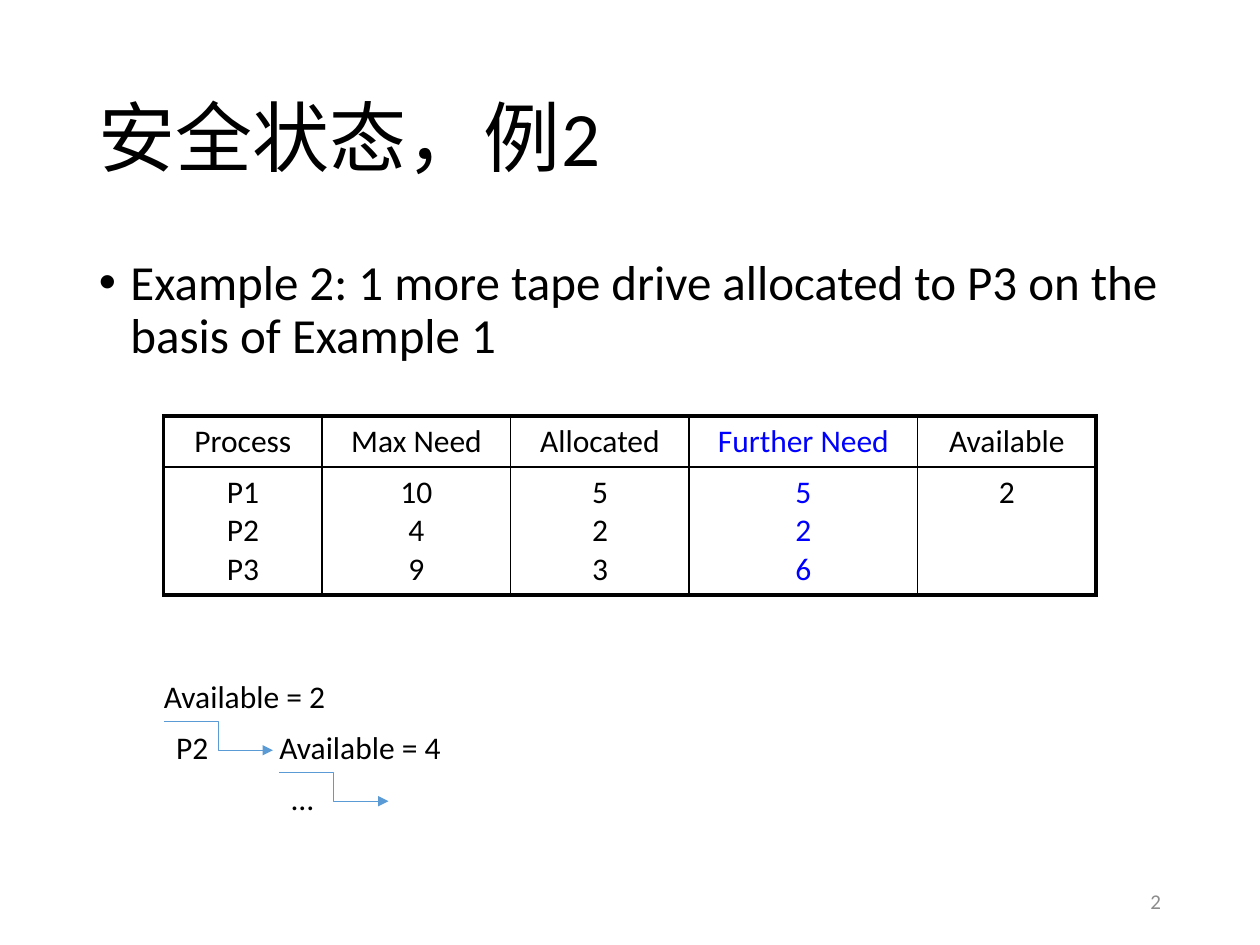
from lxml.etree import SubElement
from pptx import Presentation
from pptx.dml.color import RGBColor
from pptx.enum.shapes import MSO_CONNECTOR as Connector
from pptx.enum.text import MSO_ANCHOR as Anchor, PP_ALIGN as Align
from pptx.oxml.ns import qn
from pptx.util import Pt

BLACK, BLUE, GREY, ARROW_BLUE = "000000", "0000FF", "8C8C8C", "5B9BD5"
THIN, THICK = 1, 2.25


def rgb(hex_code):
    return RGBColor.from_string(hex_code)


class SlideBuilder:
    font_name = "Calibri"
    text_size = 18

    def __init__(self, page):
        self.page = page

    def style(self, para, size=text_size, color=BLACK, align=Align.LEFT):
        para.alignment = align
        para.font.name = self.font_name
        para.font.size = Pt(size)
        para.font.color.rgb = rgb(color)

    def text(self, words, left, top, width, height, anchor=Anchor.TOP,
             side_inset=7.2, line_spacing=None, **style):
        box = self.page.shapes.add_textbox(Pt(left), Pt(top), Pt(width), Pt(height))
        frame = box.text_frame
        frame.word_wrap = True
        frame.vertical_anchor = anchor
        frame.margin_left = frame.margin_right = Pt(side_inset)
        para = frame.paragraphs[0]
        para.text = words
        para.line_spacing = line_spacing
        self.style(para, **style)
        return para

    def bullet(self, words, *place, indent=18, **style):
        para = self.text(words, *place, **style)
        para.space_before = Pt(10)
        props = para._p.get_or_add_pPr()
        props.set("marL", str(Pt(indent)))
        props.set("indent", str(-Pt(indent)))
        SubElement(props, qn("a:buFont"), typeface="Arial")
        SubElement(props, qn("a:buChar"), char="•")

    def border(self, cell, side, width):
        line = SubElement(cell._tc.get_or_add_tcPr(), qn(f"a:ln{side}"), w=str(Pt(width)))
        fill = SubElement(line, qn("a:solidFill"))
        SubElement(fill, qn("a:srgbClr"), val=BLACK)

    def table(self, rows, left, top, widths, heights, blue_column):
        """Draw a ruled table with a thick outer frame; each cell is a list of lines."""
        grid = self.page.shapes.add_table(len(rows), len(widths), Pt(left), Pt(top),
                                          Pt(sum(widths)), Pt(sum(heights))).table
        grid.first_row = grid.horz_banding = False
        for column, width in zip(grid.columns, widths):
            column.width = Pt(width)
        for row, height in zip(grid.rows, heights):
            row.height = Pt(height)
        for r, row in enumerate(rows):
            for c, lines in enumerate(row):
                cell = grid.cell(r, c)
                on_frame = {"L": c == 0, "R": c == len(widths) - 1,
                            "T": r == 0, "B": r == len(rows) - 1}
                for side, outer in on_frame.items():
                    self.border(cell, side, THICK if outer else THIN)
                cell.fill.background()
                cell.text = "\n".join(lines)
                for para in cell.text_frame.paragraphs:
                    self.style(para, color=BLUE if c == blue_column else BLACK,
                               align=Align.CENTER)

    def elbow_arrow(self, left, top, width, height):
        arrow = self.page.shapes.add_connector(Connector.ELBOW, Pt(left), Pt(top),
                                               Pt(left + width), Pt(top + height))
        arrow.line.color.rgb = rgb(ARROW_BLUE)
        arrow.line.width = Pt(0.5)
        SubElement(arrow.line._get_or_add_ln(), qn("a:tailEnd"), type="triangle")
        SubElement(arrow._element.spPr, qn("a:effectLst"))

    def allocation_step(self, available, process, left, top, drop):
        """Show the free drives, then the process that runs next."""
        self.text(available, left, top, 130.3, 28.8, side_inset=0)
        self.elbow_arrow(left, top + drop, 62.4, 16.4)
        self.text(process, left, top + drop, 34, 28.8)


def main():
    deck = Presentation()
    deck.slide_width, deck.slide_height = Pt(720), Pt(540)
    slide = SlideBuilder(deck.slides.add_slide(deck.slide_layouts[6]))

    slide.text("安全状态，例2", 49.5, 28.8, 621, 104.4, anchor=Anchor.MIDDLE,
               line_spacing=0.9, size=44)
    slide.bullet("Example 2: 1 more tape drive allocated to P3 on the basis of Example 1",
                 49.5, 143.8, 621, 342.6, line_spacing=0.9, size=28)
    slide.text("2", 508.5, 500.5, 162, 28.8, anchor=Anchor.MIDDLE,
               size=12, color=GREY, align=Align.RIGHT)

    columns = {
        "Process": ["P1", "P2", "P3"],
        "Max Need": ["10", "4", "9"],
        "Allocated": ["5", "2", "3"],
        "Further Need": ["5", "2", "6"],
        "Available": ["2"],
    }
    slide.table([[[name] for name in columns], list(columns.values())], 93.5, 237.6,
                widths=[90.6, 107.8, 102, 130.5, 102], heights=[29.2, 73.2],
                blue_column=3)

    left, top, step_right, step_down = 93.6, 383.2, 66, 29.1
    steps = [("Available = 2", "P2"), ("Available = 4", "…")]
    for i, (available, process) in enumerate(steps):
        slide.allocation_step(available, process, left + i * step_right,
                              top + i * step_down, step_down)

    deck.save("out.pptx")


if __name__ == "__main__":
    main()
